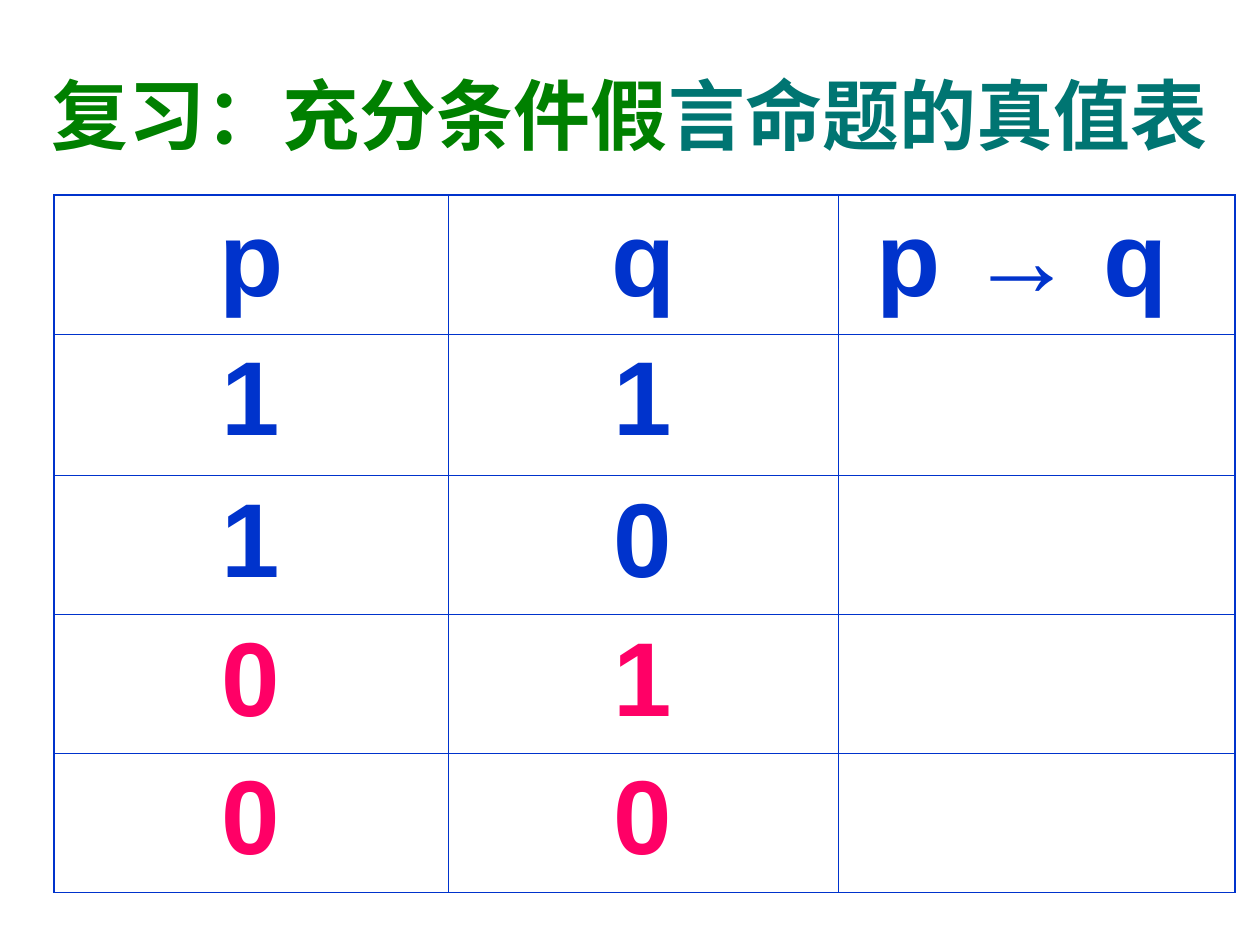
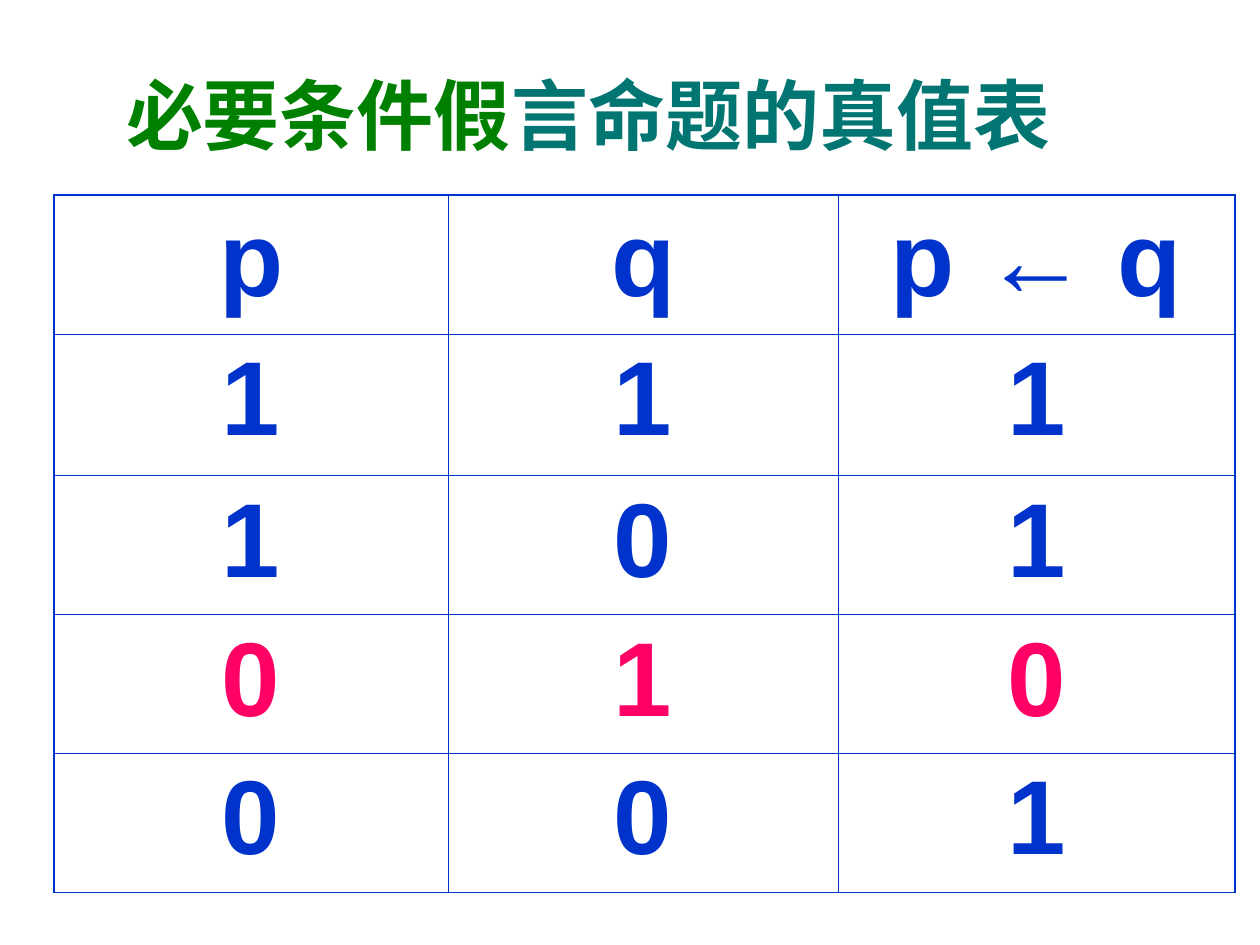
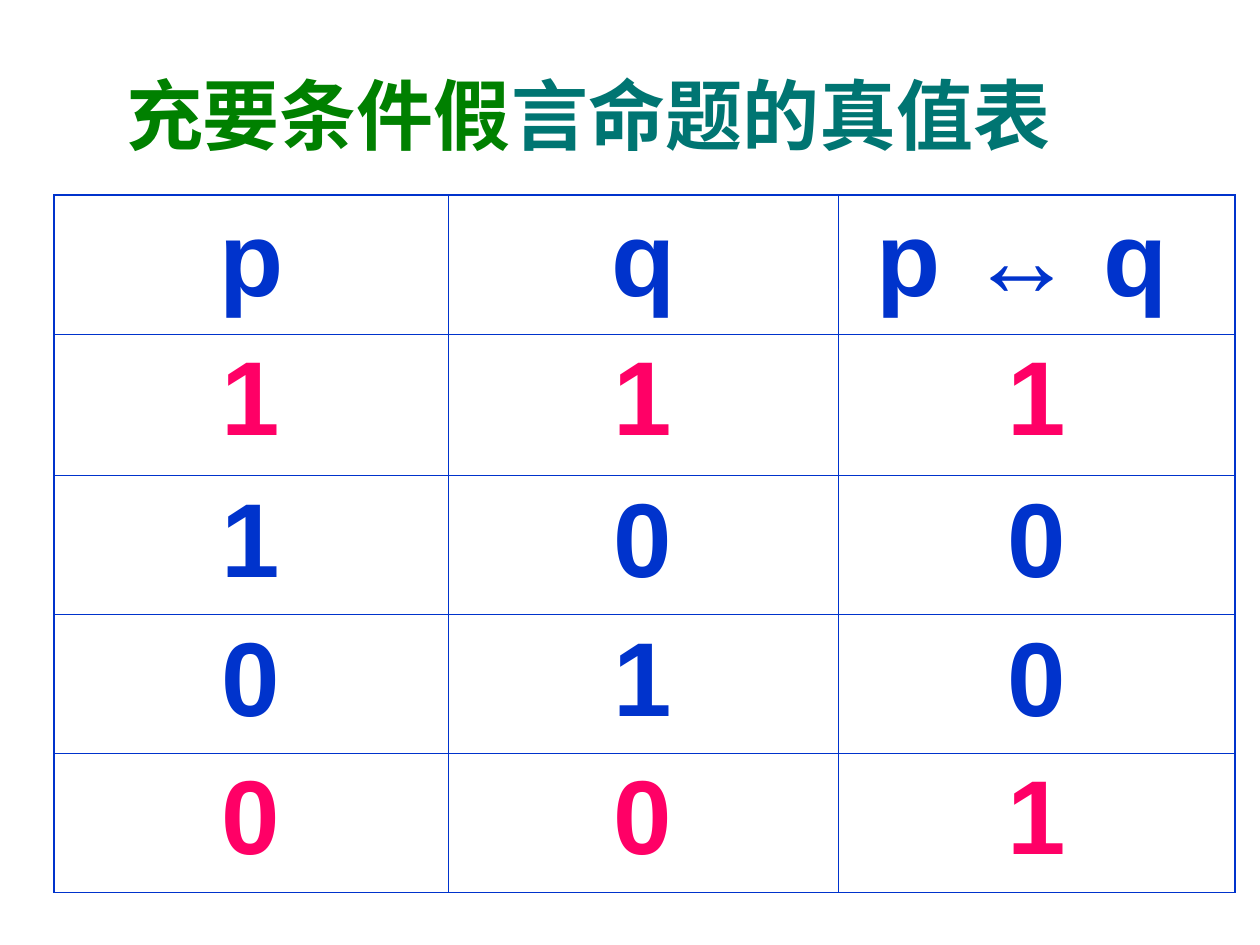
import pptx
import pptx.dml.color
import pptx.enum.text
import pptx.oxml
import pptx.oxml.ns
import pptx.util

Pt = pptx.util.Pt
GREEN = pptx.dml.color.RGBColor(0x00, 0x80, 0x00)
TEAL = pptx.dml.color.RGBColor(0x00, 0x75, 0x72)
BLUE = pptx.dml.color.RGBColor(0x00, 0x33, 0xCC)
PINK = pptx.dml.color.RGBColor(0xFF, 0x00, 0x66)
FONT = "Arial"

TITLE_ENDING = "言命题的真值表"
TRUTH_TABLES = [
    {
        "title": "复习：充分条件假",
        "title_width": 720,
        "rows": [("p", "q", "p → q "), ("1", "1", ""), ("1", "0", ""), ("0", "1", ""), ("0", "0", "")],
        "pink_rows": (3, 4),
    },
    {
        "title": "必要条件假",
        "title_width": 672.5,
        "rows": [("p", "q", "p ← q"), ("1", "1", "1"), ("1", "0", "1"), ("0", "1", "0"), ("0", "0", "1")],
        "pink_rows": (3,),
    },
    {
        "title": "充要条件假",
        "title_width": 672.5,
        "rows": [("p", "q", "p ↔ q "), ("1", "1", "1"), ("1", "0", "0"), ("0", "1", "0"), ("0", "0", "1")],
        "pink_rows": (1, 4),
    },
]

TITLE_TOP, TITLE_HEIGHT = 20, 90
TABLE_LEFT, TABLE_TOP = 31, 111.4
COLUMN_WIDTHS = (225, 223, 226.6)
ROW_HEIGHTS = (79.4, 81, 79.4, 79.4, 79.4)
OUTER_LINE, INNER_LINE = 1.08, 0.45


def add_text(paragraph, text, *, size, color):
    paragraph.alignment = pptx.enum.text.PP_ALIGN.CENTER
    run = paragraph.add_run()
    run.text = text
    run.font.name = FONT
    run.font.size = Pt(size)
    run.font.bold = True
    run.font.color.rgb = color


def set_borders(cell, outer_sides):
    properties = cell._tc.get_or_add_tcPr()
    for position, side in enumerate("LRTB"):
        width = Pt(OUTER_LINE if side in outer_sides else INNER_LINE)
        properties.insert(position, pptx.oxml.parse_xml(
            f'<a:ln{side} {pptx.oxml.ns.nsdecls("a")} w="{width}">'
            f'<a:solidFill><a:srgbClr val="{BLUE}"/></a:solidFill></a:ln{side}>'
        ))


def add_title(slide, beginning, width):
    title = slide.shapes.title
    title.left, title.top = Pt(0), Pt(TITLE_TOP)
    title.width, title.height = Pt(width), Pt(TITLE_HEIGHT)
    title.text_frame.vertical_anchor = pptx.enum.text.MSO_ANCHOR.MIDDLE
    paragraph = title.text_frame.paragraphs[0]
    add_text(paragraph, beginning, size=44, color=GREEN)
    add_text(paragraph, TITLE_ENDING, size=44, color=TEAL)


def add_truth_table(slide, rows, pink_rows):
    table = slide.shapes.add_table(
        len(rows), len(COLUMN_WIDTHS), Pt(TABLE_LEFT), Pt(TABLE_TOP),
        Pt(sum(COLUMN_WIDTHS)), Pt(sum(ROW_HEIGHTS)),
    ).table
    table.first_row = table.horz_banding = False
    for column, width in zip(table.columns, COLUMN_WIDTHS):
        column.width = Pt(width)
    for row, height in zip(table.rows, ROW_HEIGHTS):
        row.height = Pt(height)
    for row_index, values in enumerate(rows):
        color = PINK if row_index in pink_rows else BLUE
        for column_index, value in enumerate(values):
            cell = table.cell(row_index, column_index)
            cell.fill.background()
            edges = {
                "L": column_index == 0,
                "R": column_index == len(values) - 1,
                "T": row_index == 0,
                "B": row_index == len(rows) - 1,
            }
            set_borders(cell, [side for side, is_outer in edges.items() if is_outer])
            if value:
                add_text(cell.text_frame.paragraphs[0], value, size=60, color=color)


def main():
    presentation = pptx.Presentation()
    presentation.slide_width, presentation.slide_height = Pt(720), Pt(540)
    for content in TRUTH_TABLES:
        slide = presentation.slides.add_slide(presentation.slide_layouts[5])
        add_title(slide, content["title"], content["title_width"])
        add_truth_table(slide, content["rows"], content["pink_rows"])
    presentation.save("out.pptx")


if __name__ == "__main__":
    main()
